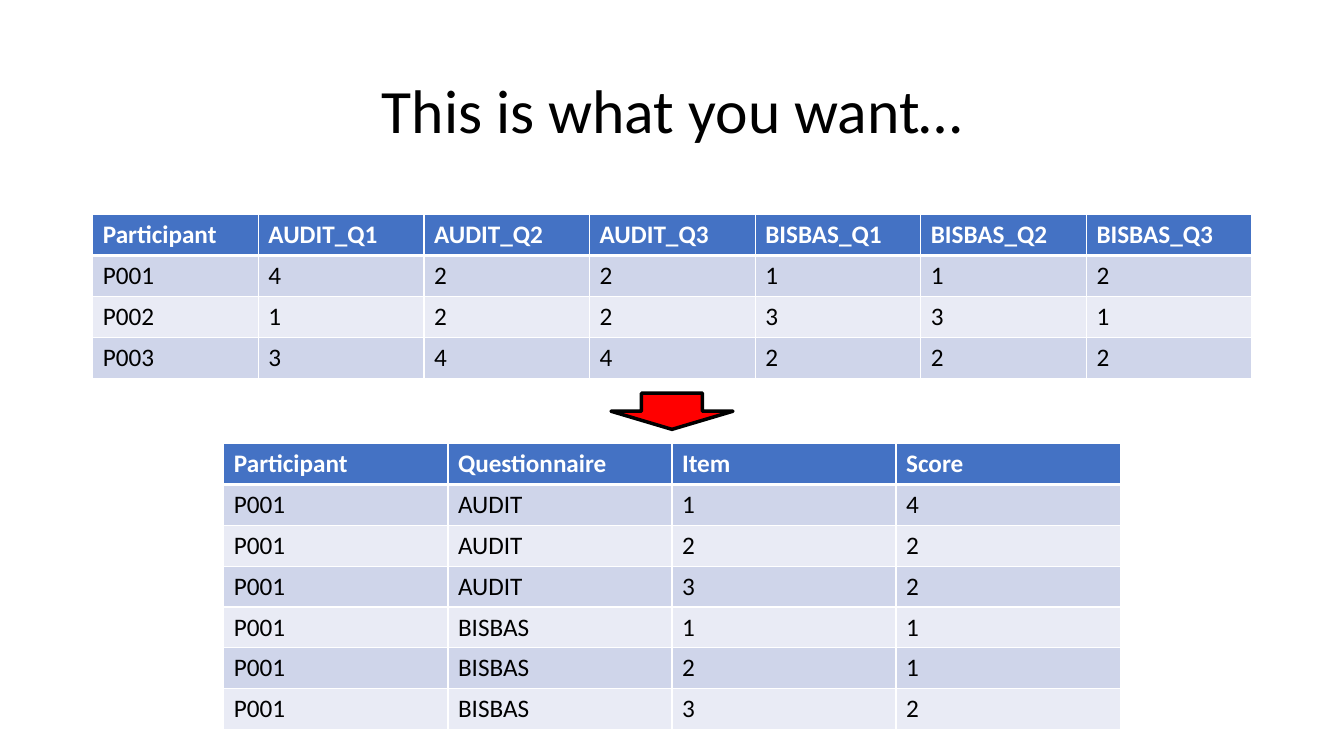
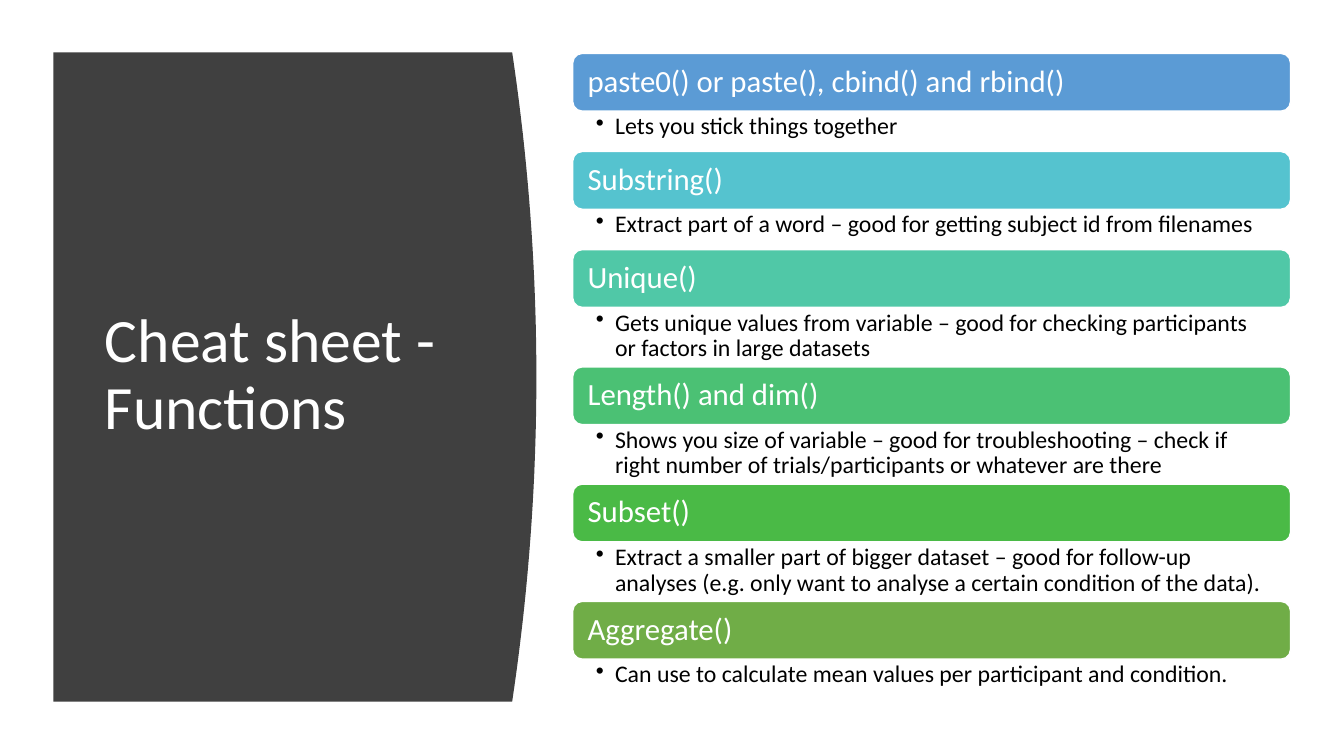
from dataclasses import dataclass

import pptx
import pptx.dml.color
import pptx.enum.shapes
import pptx.enum.text
import pptx.oxml.ns
import pptx.util
from lxml import etree

Inches = pptx.util.Inches
Pt = pptx.util.Pt
SHAPES = pptx.enum.shapes.MSO_SHAPE
ALIGN = pptx.enum.text.PP_ALIGN
ANCHOR = pptx.enum.text.MSO_ANCHOR


@dataclass(frozen=True)
class Theme:
    font: str = "Calibri"
    black: str = "000000"
    white: str = "FFFFFF"
    panel: str = "404040"
    arrow: str = "FF0000"
    table_header: str = "4472C4"
    table_bands: tuple = ("CFD5EA", "E9EBF5")
    bars: tuple = ("5B9BD5", "55C3CF", "50C8A7", "4BC174", "4ABA46", "70AD47")
    title_size: int = 44
    bar_size: int = 22
    table_size: int = 18
    detail_size: int = 17


THEME = Theme()

WIDE_ROWS = [
    ["Participant", "AUDIT_Q1", "AUDIT_Q2", "AUDIT_Q3", "BISBAS_Q1", "BISBAS_Q2", "BISBAS_Q3"],
    ["P001", "4", "2", "2", "1", "1", "2"],
    ["P002", "1", "2", "2", "3", "3", "1"],
    ["P003", "3", "4", "4", "2", "2", "2"],
]
LONG_ROWS = [
    ["Participant", "Questionnaire", "Item", "Score"],
    ["P001", "AUDIT", "1", "4"],
    ["P001", "AUDIT", "2", "2"],
    ["P001", "AUDIT", "3", "2"],
    ["P001", "BISBAS", "1", "1"],
    ["P001", "BISBAS", "2", "1"],
    ["P001", "BISBAS", "3", "2"],
]
# Function names, explanation, lines the explanation takes
FUNCTIONS = [
    ("paste0() or paste(), cbind() and rbind()", "Lets you stick things together", 1),
    ("Substring()", "Extract part of a word – good for getting subject id from filenames", 1),
    ("Unique()", "Gets unique values from variable – good for checking participants or "
     "factors in large datasets", 2),
    ("Length() and dim()", "Shows you size of variable – good for troubleshooting – check if "
     "right number of trials/participants or whatever are there", 2),
    ("Subset()", "Extract a smaller part of bigger dataset – good for follow-up analyses "
     "(e.g. only want to analyse a certain condition of the data).", 2),
    ("Aggregate()", "Can use to calculate mean values per participant and condition.", 1),
]
DETAIL_HEIGHTS = {1: 0.4, 2: 0.59}


def rgb(colour):
    return pptx.dml.color.RGBColor.from_string(colour)


def lengths(box):
    return [Inches(value) for value in box]


def write_text(frame, text, *, size, colour, bold=False, align=ALIGN.LEFT, spacing=None,
               anchor=None, insets=None):
    """Fill a text frame with one formatted paragraph and return the paragraph."""
    paragraph = frame.paragraphs[0]
    paragraph.alignment = align
    paragraph.line_spacing = spacing
    run = paragraph.add_run()
    run.text = text
    run.font.name = THEME.font
    run.font.size = Pt(size)
    run.font.bold = bold
    run.font.color.rgb = rgb(colour)
    if anchor is not None:
        frame.vertical_anchor = anchor
    if insets:
        (frame.margin_left, frame.margin_top,
         frame.margin_right, frame.margin_bottom) = lengths(insets)
    return paragraph


def paint(shape, fill, line=None, width=1):
    shape.shadow.inherit = False
    shape.fill.solid()
    shape.fill.fore_color.rgb = rgb(fill)
    if line:
        shape.line.color.rgb = rgb(line)
        shape.line.width = Pt(width)
    else:
        shape.line.fill.background()


def add_bullet(paragraph, indent):
    properties = paragraph._p.get_or_add_pPr()
    properties.set("marL", str(Inches(indent)))
    properties.set("indent", str(-Inches(indent)))
    etree.SubElement(properties, pptx.oxml.ns.qn("a:buChar")).set("char", "•")


def add_borders(cell, **widths):
    """Draw white cell borders; widths in points, in the order L, R, T, B."""
    properties = cell._tc.get_or_add_tcPr()
    for side, width in widths.items():
        line = etree.SubElement(properties, pptx.oxml.ns.qn(f"a:ln{side}"), w=str(Pt(width)))
        fill = etree.SubElement(line, pptx.oxml.ns.qn("a:solidFill"))
        etree.SubElement(fill, pptx.oxml.ns.qn("a:srgbClr"), val=THEME.white)


def place_title(slide, box, text, colour, align):
    title = slide.shapes.title
    title.left, title.top, title.width, title.height = lengths(box)
    frame = title.text_frame
    frame.word_wrap = True
    frame.auto_size = pptx.enum.text.MSO_AUTO_SIZE.NONE
    write_text(frame, text, size=THEME.title_size, colour=colour, align=align, spacing=0.9,
               anchor=ANCHOR.MIDDLE, insets=(0.1, 0.05, 0.1, 0.05))


def place_table(slide, box, rows):
    left, top, width, height = lengths(box)
    table = slide.shapes.add_table(len(rows), len(rows[0]), left, top, width, height).table
    for row_index, values in enumerate(rows):
        header = row_index == 0
        fill = THEME.table_header if header else THEME.table_bands[(row_index - 1) % 2]
        for column_index, value in enumerate(values):
            cell = table.cell(row_index, column_index)
            add_borders(cell, L=1, R=1, T=3 if row_index == 1 else 1, B=3 if header else 1)
            cell.fill.solid()
            cell.fill.fore_color.rgb = rgb(fill)
            write_text(cell.text_frame, value, size=THEME.table_size, bold=header,
                       colour=THEME.white if header else THEME.black)


def place_curved_panel(slide, box, bulge):
    """Draw a panel whose right side swells outwards by the bulge."""
    left, top, width, height = box
    steps = 40
    curve = [(left + width - bulge * (2 * step / steps - 1) ** 2, top + height * step / steps)
             for step in range(steps + 1)]
    outline = [lengths(point) for point in curve + [(left, top + height)]]
    builder = slide.shapes.build_freeform(Inches(left), Inches(top), scale=1.0)
    builder.add_line_segments(outline, close=True)
    paint(builder.convert_to_shape(), THEME.panel)


def place_function_list(slide, box, functions):
    """Stack a coloured bar and its explanation for every function."""
    left, top, width, height = box
    details = sum(DETAIL_HEIGHTS[lines] for _, _, lines in functions)
    bar_height = (height - details) / len(functions)
    for (name, detail, lines), colour in zip(functions, THEME.bars):
        # Bar with the function names
        bar = slide.shapes.add_shape(SHAPES.ROUNDED_RECTANGLE,
                                     *lengths((left, top, width, bar_height)))
        paint(bar, colour, THEME.white)
        write_text(bar.text_frame, name, size=THEME.bar_size, colour=THEME.white, spacing=0.9,
                   anchor=ANCHOR.MIDDLE, insets=(0.12, 0.09, 0.12, 0.09))
        top += bar_height

        # Bulleted explanation
        detail_height = DETAIL_HEIGHTS[lines]
        text_box = slide.shapes.add_textbox(*lengths((left, top, width, detail_height)))
        text_box.text_frame.word_wrap = True
        paragraph = write_text(text_box.text_frame, detail, size=THEME.detail_size,
                               colour=THEME.black, spacing=0.9, anchor=ANCHOR.TOP,
                               insets=(0.23, 0.03, 0.17, 0.03))
        add_bullet(paragraph, 0.19)
        top += detail_height


def build_reshape_slide(slide):
    place_title(slide, (0.92, 0.4, 11.5, 1.45), "This is what you want…",
                THEME.black, ALIGN.CENTER)
    place_table(slide, (0.92, 2.13, 11.5, 1.62), WIDE_ROWS)
    place_table(slide, (2.22, 4.4, 8.89, 2.84), LONG_ROWS)
    arrow = slide.shapes.add_shape(SHAPES.DOWN_ARROW, *lengths((6.06, 3.9, 1.21, 0.36)))
    paint(arrow, THEME.arrow, THEME.black, 2.5)


def build_cheat_sheet_slide(slide):
    place_curved_panel(slide, (0.53, 0.52, 4.79, 6.44), 0.24)
    place_title(slide, (0.94, 1.11, 3.74, 5.24), "Cheat sheet - Functions",
                THEME.white, ALIGN.LEFT)
    # The title lies above the panel
    slide.shapes._spTree.append(slide.shapes.title._element)
    place_function_list(slide, (5.68, 0.53, 7.12, 6.41), FUNCTIONS)


def main():
    presentation = pptx.Presentation()
    presentation.slide_width = Inches(13.33)
    presentation.slide_height = Inches(7.5)
    title_only = presentation.slide_layouts[5]
    for build in (build_reshape_slide, build_cheat_sheet_slide):
        build(presentation.slides.add_slide(title_only))
    presentation.save("out.pptx")


if __name__ == "__main__":
    main()
